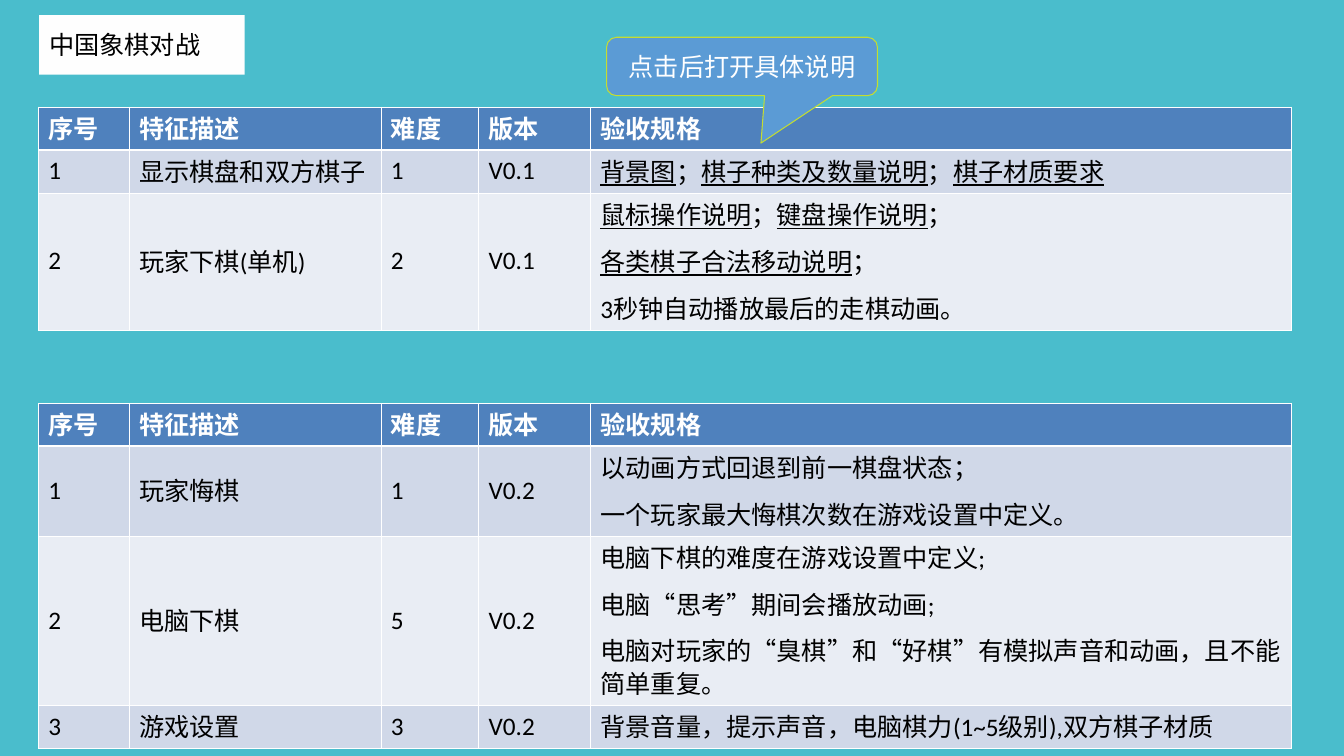
from lxml import etree
from pptx import Presentation
from pptx.dml.color import RGBColor
from pptx.enum.shapes import MSO_SHAPE
from pptx.enum.text import MSO_ANCHOR, PP_ALIGN
from pptx.oxml.ns import qn
from pptx.util import Inches, Pt

RECT = MSO_SHAPE.RECTANGLE
CALLOUT = MSO_SHAPE.ROUNDED_RECTANGULAR_CALLOUT
MIDDLE = MSO_ANCHOR.MIDDLE
LEFT, CENTER = PP_ALIGN.LEFT, PP_ALIGN.CENTER

COLORS = {
    "background": "4ABDCC", "title": "FEFEFE", "black": "000000",
    "white": "FFFFFF", "header": "4F81BD", "odd": "D0D8E8",
    "even": "E9EDF4", "callout": "5B9BD5", "outline": "C4DD31",
}
THIN, THICK = 0.45, 1.47

# Widths and heights are percentages of the slide
TABLE_LEFT = 2.85
COLUMNS = [6.75, 18.74, 7.27, 8.32, 52.17]
LINE_ROW = 5.7
HEADER = ["序号", "特征描述", "难度", "版本", "验收规格"]

# Underscores enclose underlined words; line breaks part paragraphs
BASIC_FEATURES = [
    HEADER,
    ["1", "显示棋盘和双方棋子", "1", "V0.1",
     "_背景图_；_棋子种类及数量说明_；_棋子材质要求_"],
    ["2", "玩家下棋(单机)", "2", "V0.1",
     "_鼠标操作说明_；_键盘操作说明_；\n"
     "_各类棋子合法移动说明_；\n"
     "3秒钟自动播放最后的走棋动画。"],
]
NEXT_FEATURES = [
    HEADER,
    ["1", "玩家悔棋", "1", "V0.2",
     "以动画方式回退到前一棋盘状态；\n"
     "一个玩家最大悔棋次数在游戏设置中定义。"],
    ["2", "电脑下棋", "5", "V0.2",
     "电脑下棋的难度在游戏设置中定义;\n"
     "电脑“思考”期间会播放动画;\n"
     "电脑对玩家的“臭棋”和“好棋”有模拟声音和动画，且不能简单重复。"],
    ["3", "游戏设置", "3", "V0.2",
     "背景音量，提示声音，电脑棋力(1~5级别),双方棋子材质"],
]


class Deck:
    def __init__(self, width, height):
        self.prs = Presentation()
        self.prs.slide_width = Inches(width)
        self.prs.slide_height = Inches(height)
        self.font, self.size = "Calibri", Pt(18)

    def x(self, share):
        return round(self.prs.slide_width * share / 100)

    def y(self, share):
        return round(self.prs.slide_height * share / 100)

    def color(self, name):
        return RGBColor.from_string(COLORS[name])

    def paint(self, fill, name):
        fill.solid()
        fill.fore_color.rgb = self.color(name)

    def add_slide(self, background):
        self.s = self.prs.slides.add_slide(self.prs.slide_layouts[6])
        self.paint(self.s.background.fill, background)

    def add_text(self, tf, text, color, bold=False, align=LEFT, spacing=None):
        for i, line in enumerate(text.split("\n")):
            p = tf.add_paragraph() if i else tf.paragraphs[0]
            p.alignment = align
            p.line_spacing = spacing
            if i:
                p.space_before = Pt(10)
            for j, part in enumerate(line.split("_")):
                if not part:
                    continue
                r = p.add_run()
                r.text = part
                r.font.name, r.font.size = self.font, self.size
                r.font.bold = bold
                r.font.underline = j % 2 == 1
                r.font.color.rgb = self.color(color)

    def box(self, kind, left, top, width, height, fill, text, color,
            line=None, align=LEFT, wrap=True):
        sp = self.s.shapes.add_shape(kind, self.x(left), self.y(top),
                                     self.x(width), self.y(height))
        sp.shadow.inherit = False
        self.paint(sp.fill, fill)
        if line:
            sp.line.color.rgb = self.color(line)
            sp.line.width = Pt(0.75)
        else:
            sp.line.fill.background()
        tf = sp.text_frame
        tf.word_wrap = wrap
        tf.vertical_anchor = MIDDLE
        self.add_text(tf, text, color, align=align)
        return sp

    def borders(self, cell, top, bottom):
        tc_pr = cell._tc.get_or_add_tcPr()
        widths = {"lnL": THIN, "lnR": THIN, "lnT": top, "lnB": bottom}
        for i, (side, width) in enumerate(widths.items()):
            ln = etree.Element(qn("a:" + side), w=str(Pt(width)))
            fill = etree.SubElement(ln, qn("a:solidFill"))
            etree.SubElement(fill, qn("a:srgbClr"), val=COLORS["white"])
            tc_pr.insert(i, ln)

    def table(self, top, heights, rows):
        frame = self.s.shapes.add_table(
            len(rows), len(COLUMNS), self.x(TABLE_LEFT), self.y(top),
            self.x(sum(COLUMNS)), self.y(sum(heights)))
        table = frame.table
        table.horz_banding = False
        for column, width in zip(table.columns, COLUMNS):
            column.width = self.x(width)
        for i, (height, texts) in enumerate(zip(heights, rows)):
            table.rows[i].height = self.y(height)
            is_header = i == 0
            fill = "header" if is_header else "odd" if i % 2 else "even"
            for j, text in enumerate(texts):
                cell = table.cell(i, j)
                cell.vertical_anchor = MIDDLE
                self.paint(cell.fill, fill)
                self.borders(cell, THICK if i == 1 else THIN,
                             THICK if is_header else THIN)
                self.add_text(cell.text_frame, text,
                              "white" if is_header else "black",
                              bold=is_header, spacing=0.9)


def main():
    deck = Deck(13.34, 7.5)
    deck.add_slide("background")

    # Title
    deck.box(RECT, 2.92, 2, 15.29, 7.87, "title", "中国象棋对战", "black")

    # Feature tables
    deck.table(14.13, [LINE_ROW, LINE_ROW, 18.1], BASIC_FEATURES)
    deck.table(53.33, [LINE_ROW, 11.87, 22.4, LINE_ROW], NEXT_FEATURES)

    # Callout pointing at the specification column
    callout = deck.box(CALLOUT, 45.13, 4.93, 20.16, 7.73, "callout",
                       "点击后打开具体说明", "white", line="outline",
                       align=CENTER, wrap=False)
    for i, value in enumerate([0.07, 1.31, 0.17]):
        callout.adjustments[i] = value

    deck.prs.save("out.pptx")


if __name__ == "__main__":
    main()
